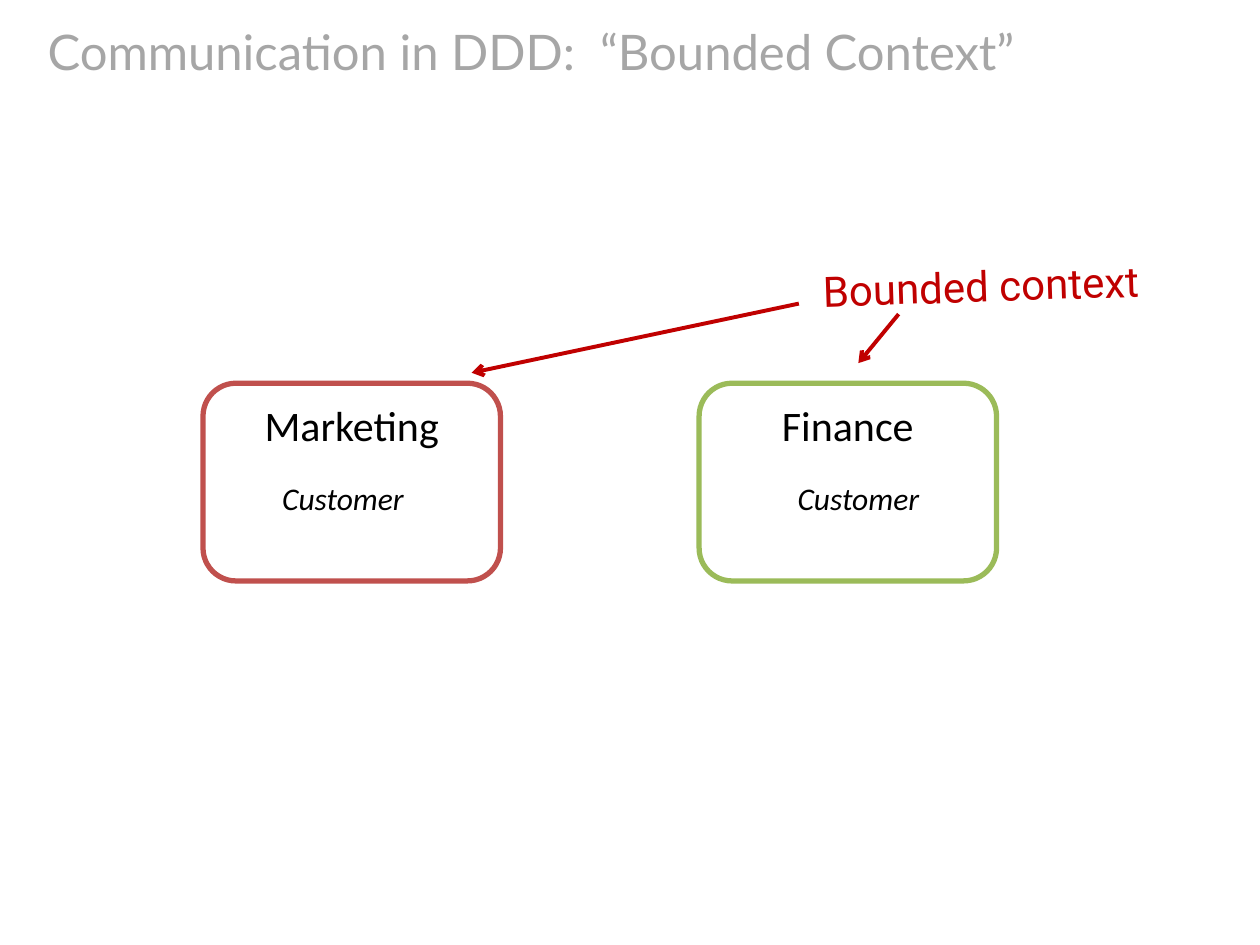
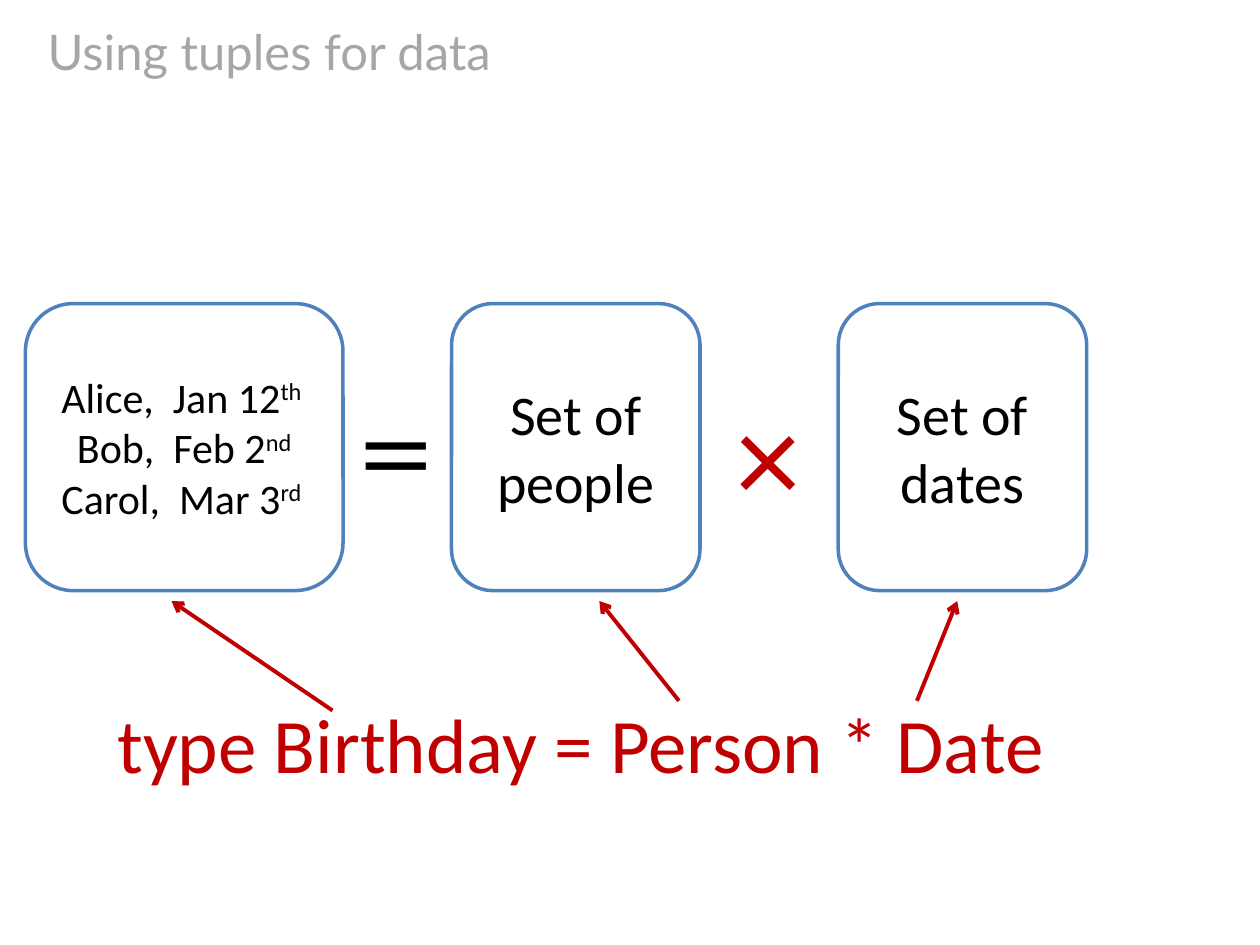
import pptx
import pptx.util
import pptx.dml.color
import pptx.enum.shapes
import pptx.enum.text
import pptx.oxml.ns
from lxml import etree

Pt = pptx.util.Pt
ALIGN = pptx.enum.text.PP_ALIGN
ANCHOR = pptx.enum.text.MSO_ANCHOR
GREY, RED, BLACK, WHITE = "A6A6A6", "C00000", "000000", "FFFFFF"
BRICK, GREEN, BLUE = "C0504D", "9BBB59", "4F81BD"


def color(code):
    return pptx.dml.color.RGBColor.from_string(code)


class Deck:
    def __init__(self):
        self.file = pptx.Presentation()
        self.file.slide_width, self.file.slide_height = Pt(720), Pt(540)
        self.slide = None

    def start(self, title):
        """Add a slide with its title at the top left."""
        self.slide = self.file.slides.add_slide(self.file.slide_layouts[5])
        back = self.slide.background.fill
        back.solid()
        back.fore_color.rgb = color(WHITE)
        head = self.slide.shapes.title
        head.left, head.top, head.width, head.height = map(Pt, (20, 9.5, 680, 39))
        head.text_frame.auto_size = pptx.enum.text.MSO_AUTO_SIZE.NONE
        self.letter(head, [title], 28, GREY, "Lato", anchor=ANCHOR.MIDDLE)

    def letter(self, shape, lines, size, ink, font="Calibri", align=ALIGN.LEFT,
               anchor=ANCHOR.TOP, italic=False):
        """Put text in a shape; a line is a string or a (base, superscript) pair."""
        frame = shape.text_frame
        frame.word_wrap = True
        frame.vertical_anchor = anchor
        for i, line in enumerate(lines):
            para = frame.add_paragraph() if i else frame.paragraphs[0]
            para.alignment = align
            parts = (line,) if isinstance(line, str) else line
            for j, part in enumerate(parts):
                run = para.add_run()
                run.text = part
                run.font.name, run.font.size = font, Pt(size)
                run.font.italic = italic
                run.font.color.rgb = color(ink)
                if j:
                    run.font._element.set("baseline", "30000")

    def label(self, place, text, size, ink, inset=True, turn=0, **style):
        box = self.slide.shapes.add_textbox(*map(Pt, place))
        box.rotation = turn
        if not inset:
            frame = box.text_frame
            frame.margin_left = frame.margin_right = Pt(0)
            frame.margin_top = frame.margin_bottom = Pt(0)
        self.letter(box, [text], size, ink, **style)

    def card(self, place, lines, size, edge, width, anchor):
        kind = pptx.enum.shapes.MSO_SHAPE.ROUNDED_RECTANGLE
        shape = self.slide.shapes.add_shape(kind, *map(Pt, place))
        shape.shadow.inherit = False
        shape.fill.solid()
        shape.fill.fore_color.rgb = color(WHITE)
        shape.line.color.rgb = color(edge)
        shape.line.width = Pt(width)
        self.letter(shape, lines, size, BLACK, align=ALIGN.CENTER, anchor=anchor)

    def arrow(self, *ends):
        kind = pptx.enum.shapes.MSO_CONNECTOR.STRAIGHT
        line = self.slide.shapes.add_connector(kind, *map(Pt, ends))
        line.line.color.rgb = color(RED)
        line.line.width = Pt(2.25)
        qn = pptx.oxml.ns.qn
        props = line._element.spPr
        etree.SubElement(props.find(qn("a:ln")), qn("a:tailEnd"), type="arrow")
        etree.SubElement(props, qn("a:effectLst"))


def context(deck):
    deck.start("Communication in DDD:  “Bounded Context”")
    deck.label((463, 144.5, 223, 36), "Bounded context", 24, RED,
               turn=358, font="Roboto")
    deck.arrow(513.5, 179.5, 490.5, 207.5)
    deck.arrow(456.5, 173.5, 269.5, 213)
    for left, inner, name, edge in ((116, 150.5, "Marketing", BRICK),
                                    (399.5, 445, "Finance", GREEN)):
        deck.card((left, 219, 170, 113), [name], 24, edge, 3, ANCHOR.TOP)
        deck.label((inner, 270, 91, 29), "Customer", 18, BLACK,
                   align=ALIGN.CENTER, italic=True)


def tuples(deck):
    deck.start("Using tuples for data")
    for left, top, sign, ink in ((417, 207.5, "×", RED), (204.5, 204, "=", BLACK)):
        deck.label((left, top, 42.5, 213), sign, 80, ink, inset=False, font="Cambria")
    pairs = [("Alice,  Jan 12", "th "), ("Bob,  Feb 2", "nd"), ("Carol,  Mar 3", "rd ")]
    for left, width, lines, size in ((14.5, 181.5, pairs, 24),
                                     (258, 142, ["Set of people"], 32),
                                     (479, 142, ["Set of dates"], 32)):
        deck.card((left, 173.5, width, 164), lines, size, BLUE, 2, ANCHOR.MIDDLE)
    deck.label((60, 394.5, 590, 60.5), "type Birthday = Person * Date", 44, RED)
    for x, y, tip in ((190, 406, 98), (388, 400.5, 342.5), (524, 400.5, 547)):
        deck.arrow(x, y, tip, 343.5)


def main():
    deck = Deck()
    context(deck)
    tuples(deck)
    deck.file.save("out.pptx")


if __name__ == "__main__":
    main()
